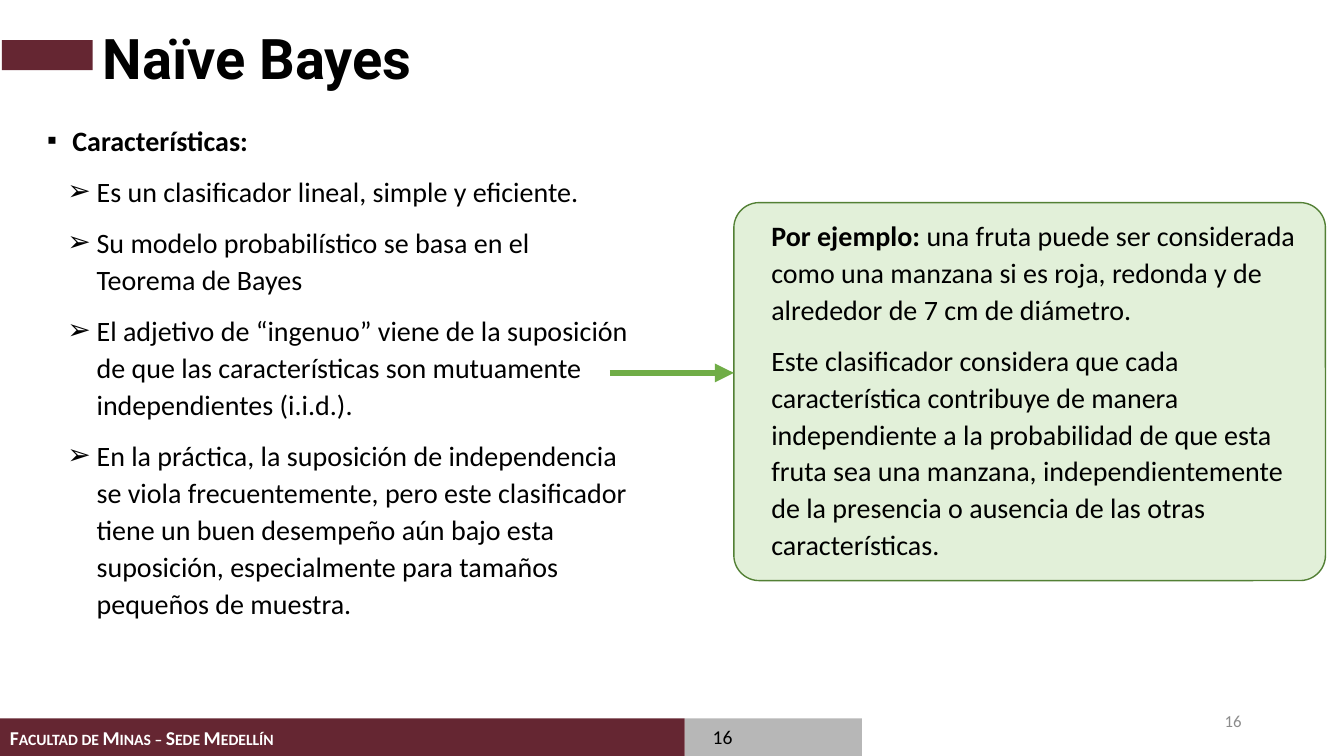
"""Build the Naïve Bayes slide with its footer, bullet list and example box."""
from dataclasses import dataclass

from lxml import etree
from pptx import Presentation
from pptx.dml.color import RGBColor
from pptx.enum import shapes, text
from pptx.oxml import ns
from pptx.util import Pt


@dataclass(frozen=True)
class Theme:
    """Colours, fonts and type sizes of the slide."""
    wine: str = "652632"
    white: str = "FFFFFF"
    black: str = "000000"
    grey: str = "808080"
    pale_grey: str = "8C8C8C"
    green: str = "70AD47"
    dark_green: str = "538035"
    light_green: str = "E2F0D9"
    head_font: str = "Roboto"
    body_font: str = "Calibri"
    title: int = 40
    body: int = 20
    footer: int = 14
    number: int = 12


T = Theme()
NUMBER = "16"
FEATURES = [
    "Es un clasificador lineal, simple y eficiente.",
    "Su modelo probabilístico se basa en el Teorema de Bayes",
    "El adjetivo de “ingenuo” viene de la suposición de que las características "
    "son mutuamente independientes (i.i.d.).",
    "En la práctica, la suposición de independencia se viola frecuentemente, pero "
    "este clasificador tiene un buen desempeño aún bajo esta suposición, "
    "especialmente para tamaños pequeños de muestra.",
]
EXAMPLE = [
    [("Por ejemplo:", True),
     (" una fruta puede ser considerada como una manzana si es roja, redonda y de "
      "alrededor de 7 cm de diámetro.", False)],
    [("Este clasificador considera que cada característica contribuye de manera "
      "independiente a la probabilidad de que esta fruta sea una manzana, "
      "independientemente de la presencia o ausencia de las otras características.",
      False)],
]


def add_xml(parent, tag, **attrs):
    """Append a DrawingML element and return it."""
    return etree.SubElement(parent, ns.qn(tag), attrs)


def add_block(s, box, fill, line=None, kind=shapes.MSO_SHAPE.RECTANGLE):
    """Add a flat filled shape, outlined when a line colour is given."""
    sp = s.shapes.add_shape(kind, *map(Pt, box))
    sp.shadow.inherit = False
    sp.fill.solid()
    sp.fill.fore_color.rgb = RGBColor.from_string(fill)
    if line:
        sp.line.color.rgb = RGBColor.from_string(line)
        sp.line.width = Pt(1)
    else:
        sp.line.fill.background()
    return sp


def add_textbox(s, box, anchor=text.MSO_ANCHOR.TOP):
    """Add a wrapping text box and return its text frame."""
    tf = s.shapes.add_textbox(*map(Pt, box)).text_frame
    tf.word_wrap = True
    tf.vertical_anchor = anchor
    return tf


def write(p, pieces, size, color=T.black, font=T.body_font, spacing=1.0):
    """Fill a left-aligned paragraph with (text, bold) runs and return it."""
    p.alignment = text.PP_ALIGN.LEFT
    p.line_spacing = spacing
    for words, bold in pieces:
        r = p.add_run()
        r.text = words
        r.font.size = Pt(size)
        r.font.name = font
        r.font.bold = bold
        r.font.color.rgb = RGBColor.from_string(color)
    return p


def next_paragraph(tf, index):
    """Return the paragraph at the index, spaced from the one above."""
    if index == 0:
        return tf.paragraphs[0]
    p = tf.add_paragraph()
    p.space_before = Pt(10)
    return p


def indent(p, margin, hanging=0, bullet=None):
    """Set the left margin of a paragraph and its hanging bullet."""
    pPr = p._p.get_or_add_pPr()
    pPr.set("marL", str(Pt(margin)))
    pPr.set("indent", str(-Pt(hanging)))
    if bullet:
        add_xml(pPr, "a:buFont", typeface="Arial")
        add_xml(pPr, "a:buChar", char=bullet)


def add_footer(s, x, y, w, h):
    """Draw the faculty bar, the grey number field and the page number."""
    bar_w, field_w = 489, 126.72
    field = add_block(s, (x + bar_w, y, field_w, h), T.grey)
    color = field._element.spPr.find(ns.qn("a:solidFill"))[0]
    add_xml(color, "a:alpha", val="56000")
    tf = add_textbox(s, (x + bar_w + 13, y + 1.4, 82, 24.5))
    write(tf.paragraphs[0], [(NUMBER, False)], T.footer)

    tf = add_block(s, (x, y, bar_w, h), T.wine).text_frame
    tf.vertical_anchor = text.MSO_ANCHOR.MIDDLE
    p = write(tf.paragraphs[0], [("Facultad de Minas – Sede Medellín", True)],
              T.footer, T.white, spacing=Pt(18))
    p.runs[0].font._element.set("cap", "small")

    add_block(s, (x + 653, y - 64.6, w - 653, 90.7), T.white, T.white)
    tf = add_textbox(s, (x + 678, y - 13, 216, 28.8), text.MSO_ANCHOR.MIDDLE)
    p = write(tf.paragraphs[0], [(NUMBER, False)], T.number, T.pale_grey)
    p.alignment = text.PP_ALIGN.RIGHT


def add_title(s, x, y, w, h):
    """Draw the accent block and the title beside it."""
    add_block(s, (x + 1.44, y + 20, 64.8, 21.6), T.wine)
    tf = add_textbox(s, (x + 66.24, y, w - 66.24, h), text.MSO_ANCHOR.MIDDLE)
    write(tf.paragraphs[0], [("Naïve Bayes", True)], T.title,
          font=T.head_font, spacing=0.9)


def add_features(s, x, y, w, h):
    """Draw the heading and its list of features."""
    tf = add_textbox(s, (x, y, w, h))
    p = write(tf.paragraphs[0], [("Características:", True)], T.body, spacing=0.9)
    indent(p, 18, 18, "▪")
    for i, feature in enumerate(FEATURES, 1):
        p = write(next_paragraph(tf, i), [(feature, False)], T.body, spacing=1.1)
        indent(p, 35.3, 20.9, "➢")


def add_example(s, x, y, w, h):
    """Draw the example box and the arrow that leads to it."""
    sp = add_block(s, (x, y, w, h), T.light_green, T.dark_green,
                   shapes.MSO_SHAPE.ROUNDED_RECTANGLE)
    sp.adjustments[0] = 0.067
    tf = sp.text_frame
    tf.word_wrap = True
    tf.vertical_anchor = text.MSO_ANCHOR.TOP
    for i, pieces in enumerate(EXAMPLE):
        p = write(next_paragraph(tf, i), pieces, T.body, spacing=1.1)
        indent(p, 14.4)

    arrow_y = Pt(y + 121.7)
    arrow = s.shapes.add_connector(shapes.MSO_CONNECTOR.STRAIGHT,
                                   Pt(x - 88.6), arrow_y, Pt(x), arrow_y)
    arrow.line.color.rgb = RGBColor.from_string(T.green)
    arrow.line.width = Pt(4.5)
    add_xml(arrow.line._get_or_add_ln(), "a:tailEnd", type="triangle")
    add_xml(arrow._element.spPr, "a:effectLst")


def main():
    """Assemble the slide and save it."""
    prs = Presentation()
    prs.slide_width, prs.slide_height = Pt(960), Pt(540)
    s = prs.slides.add_slide(prs.slide_layouts[6])
    add_footer(s, 0, 513.2, 960, 26.8)
    add_title(s, 0, 8.64, 931.7, 69.84)
    add_features(s, 26.64, 87.12, 434.2, 399.6)
    add_example(s, 524.2, 144.7, 422.6, 270)
    prs.save("out.pptx")


if __name__ == "__main__":
    main()
